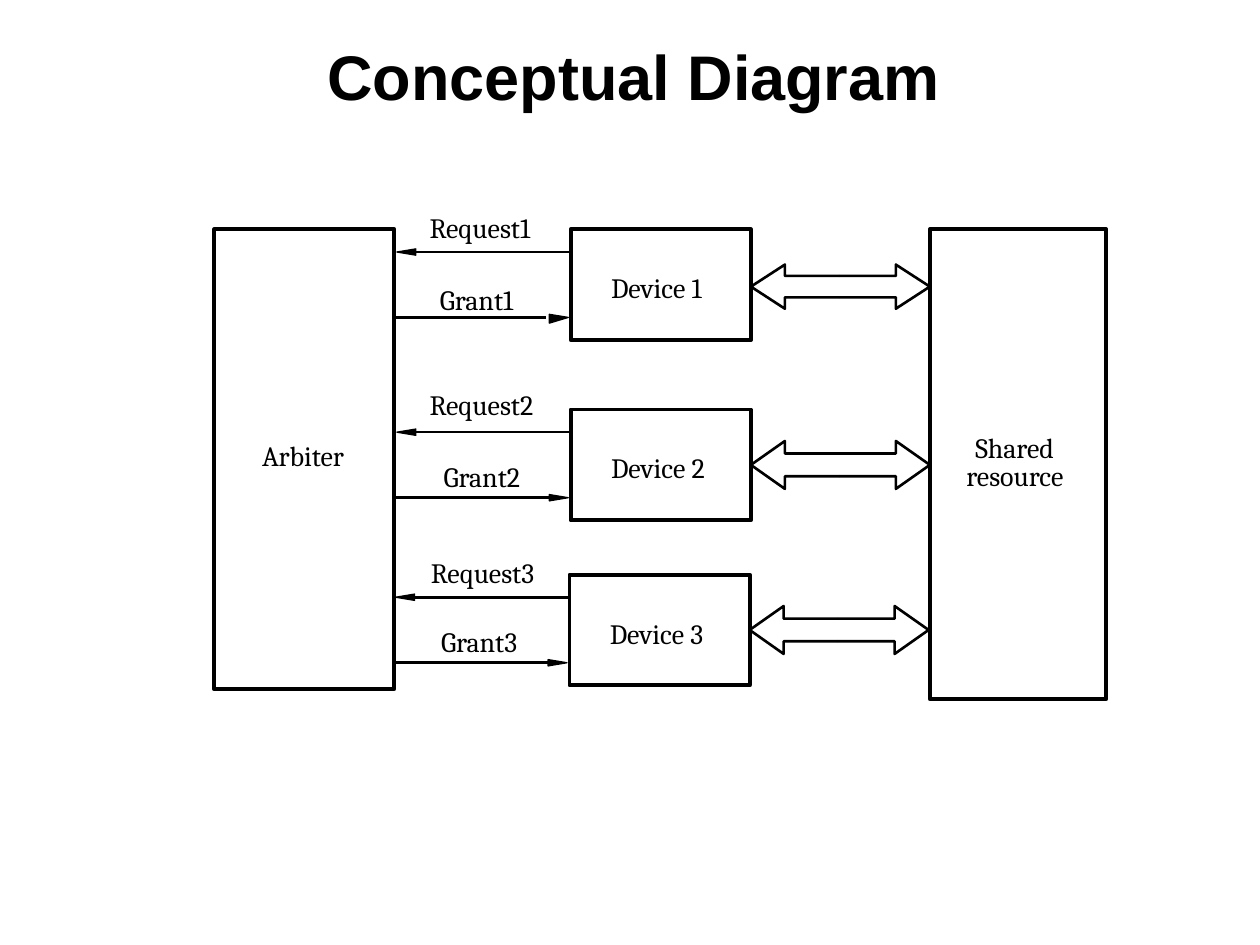
from pptx import Presentation
from pptx.dml.color import RGBColor
from pptx.enum.shapes import MSO_CONNECTOR as CONNECTOR, MSO_SHAPE as SHAPE
from pptx.enum.text import MSO_AUTO_SIZE as AUTO_SIZE, PP_ALIGN as ALIGN
from pptx.oxml.ns import qn
from pptx.util import Inches, Pt
from lxml import etree

COLORS = {"ink": "000000"}
INK = RGBColor.from_string(COLORS["ink"])

ARBITER = (1.7, 1.82, 1.43, 3.65)
RESOURCE = (7.38, 1.82, 1.4, 3.73)
DEVICE_W, DEVICE_H = 1.43, 0.88
HEAD_W, HEAD_H = 0.15, 0.05

# device left, top; bus offset, height; request and grant label positions;
# grant head height and gap between grant line and head
DEVICES = [
    (4.53, 1.82, 0.28, 0.35, (3.41, 1.67), (3.49, 2.24), 0.07, 0.03),
    (4.53, 3.25, 0.25, 0.38, (3.41, 3.08), (3.52, 3.65), HEAD_H, 0),
    (4.52, 4.56, 0.25, 0.38, (3.42, 4.41), (3.5, 4.96), HEAD_H, 0),
]


def set_font(paragraph, name, size, bold=False):
    font = paragraph.font
    font.name, font.size, font.bold = name, Pt(size), bold
    font.color.rgb = INK


def add_label(slide, text, left, top, width=0.9):
    label = slide.shapes.add_textbox(
        Inches(left), Inches(top), Inches(width), Inches(0.3))
    frame = label.text_frame
    frame.margin_left = frame.margin_right = 0
    frame.margin_top = frame.margin_bottom = 0
    frame.word_wrap = False
    frame.auto_size = AUTO_SIZE.SHAPE_TO_FIT_TEXT
    frame.text = text
    set_font(frame.paragraphs[0], "Cambria", 16)


def add_block(slide, box):
    block = slide.shapes.add_shape(SHAPE.RECTANGLE, *map(Inches, box))
    block.shadow.inherit = False
    block.fill.background()
    block.line.color.rgb = INK
    block.line.width = Pt(2.25)


def add_outline(slide, points, closed, line_width):
    points = [(Inches(x), Inches(y)) for x, y in points]
    builder = slide.shapes.build_freeform(*points[0])
    builder.add_line_segments(points[1:], close=closed)
    outline = builder.convert_to_shape()
    outline.shadow.inherit = False
    outline.line.color.rgb = INK
    outline.line.width = Pt(line_width)
    if closed:
        outline.fill.solid()
        outline.fill.fore_color.rgb = INK
    else:
        outline.fill.background()


def add_signal(slide, start, tip, y, head_h=HEAD_H, gap=0):
    """Line from start to tip, ending in a slim filled head."""
    direction = 1 if tip > start else -1
    base = tip - direction * HEAD_W
    top = y - HEAD_H / 2
    add_outline(slide, [(base, top), (tip, y), (base, top + head_h), (base, y)],
                True, 0)
    line = slide.shapes.add_connector(
        CONNECTOR.STRAIGHT, Inches(start), Inches(y),
        Inches(base - direction * gap), Inches(y))
    line.line.color.rgb = INK
    line.line.width = Pt(1.5)
    etree.SubElement(line._element.spPr, qn("a:effectLst"))


def add_bus(slide, left, top, right, height):
    """Hollow double arrow made of two mirrored open halves."""
    middle = left + 0.7
    barb = 0.09 if height < 0.36 else 0.1
    bottom = top + height
    for tip, neck in ((left, left + 0.27), (right, right - 0.27)):
        add_outline(slide, [
            (middle, bottom - barb), (neck, bottom - barb), (neck, bottom),
            (tip, top + height / 2), (neck, top),
            (neck, top + barb), (middle, top + barb)], False, 1.5)


def add_device(slide, number, left, top, bus_offset, bus_h,
               request_at, grant_at, grant_head_h, grant_gap):
    add_block(slide, (left, top, DEVICE_W, DEVICE_H))
    add_label(slide, f"Device {number}", left + 0.32, top + 0.33)
    # Signals to and from the arbiter
    arbiter_edge = left - 1.4
    add_signal(slide, left, arbiter_edge + 0.02, top + 0.18)
    add_signal(slide, arbiter_edge, left - 0.02, top + 0.7,
               grant_head_h, grant_gap)
    add_label(slide, f"Request{number}", *request_at)
    add_label(slide, f"Grant{number}", *grant_at, width=0.75)
    # Bus to the shared resource
    device_edge = left + DEVICE_W
    add_bus(slide, device_edge, top + bus_offset, device_edge + 1.42, bus_h)


def add_arbiter(slide, box):
    left, top, _, _ = box
    add_block(slide, box)
    add_label(slide, "Arbiter", left + 0.38, top + 1.66)


def add_resource(slide, box):
    left, top, _, _ = box
    add_block(slide, box)
    add_label(slide, "Shared", left + 0.36, top + 1.6, width=0.75)
    add_label(slide, "resource", left + 0.29, top + 1.82)


def add_title(slide, box):
    title = slide.shapes.add_textbox(*map(Inches, box))
    frame = title.text_frame
    frame.word_wrap = True
    frame.text = "Conceptual Diagram"
    frame.paragraphs[0].alignment = ALIGN.CENTER
    set_font(frame.paragraphs[0], "Arial", 36, bold=True)


def main():
    deck = Presentation()
    deck.slide_width, deck.slide_height = Inches(10), Inches(7.5)
    slide = deck.slides.add_slide(deck.slide_layouts[6])
    add_arbiter(slide, ARBITER)
    for number, device in enumerate(DEVICES, 1):
        add_device(slide, number, *device)
    add_resource(slide, RESOURCE)
    add_title(slide, (0.03, 0.25, 10, 0.75))
    deck.save("out.pptx")


if __name__ == "__main__":
    main()
